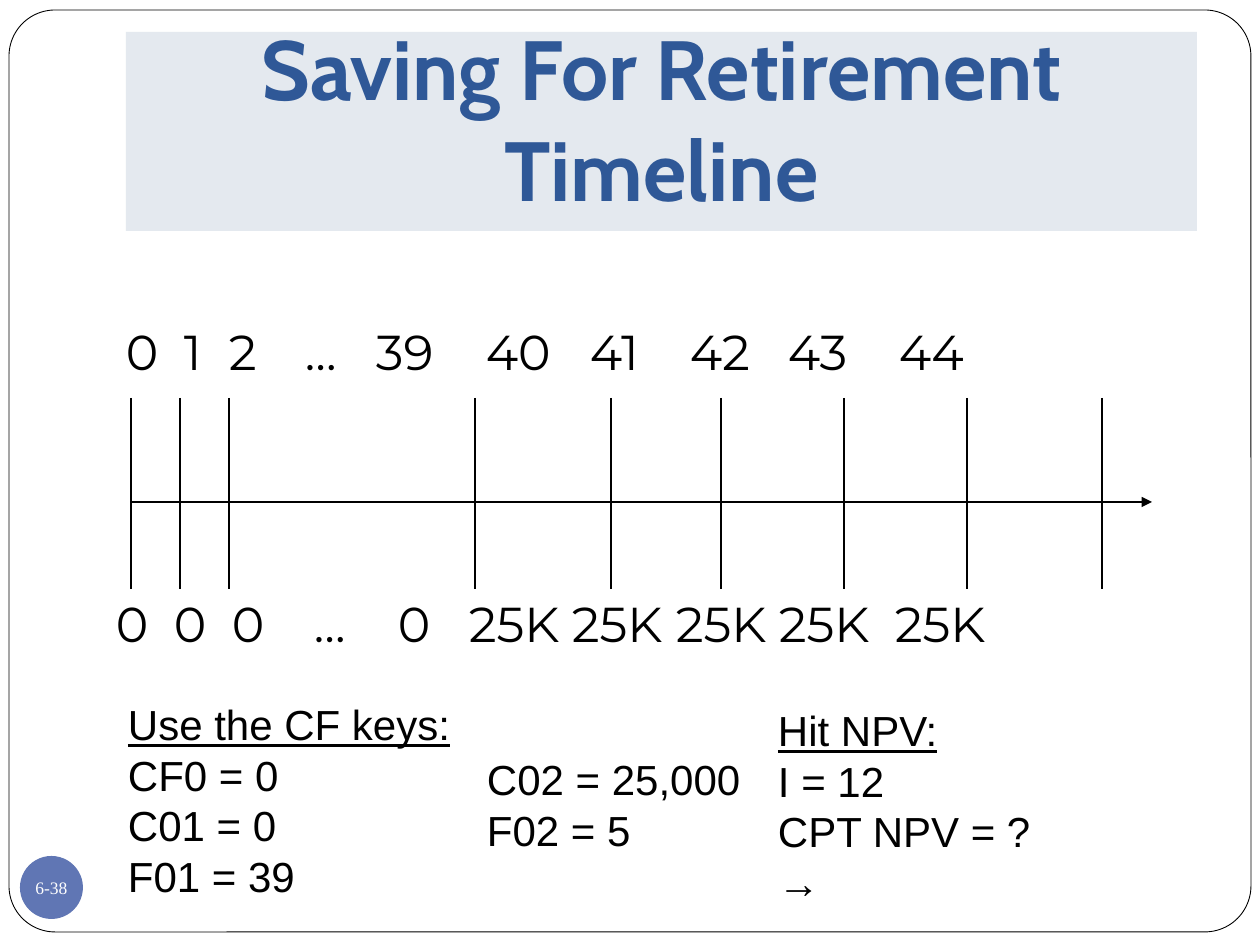
import dataclasses

import lxml.etree
import pptx
import pptx.dml.color
import pptx.enum.shapes
import pptx.enum.text
import pptx.oxml.ns
import pptx.util

SHAPE = pptx.enum.shapes.MSO_SHAPE
ALIGN = pptx.enum.text.PP_ALIGN
ANCHOR = pptx.enum.text.MSO_ANCHOR
qn = pptx.oxml.ns.qn


@dataclasses.dataclass(frozen=True)
class Theme:
    white: str = "FFFFFF"
    ink: str = "000000"
    band: str = "E4E9EF"
    heading: str = "2F5897"
    badge: str = "6076B4"
    heading_font: str = "Cabin"
    label_font: str = "Montserrat"
    body_font: str = "Arial"
    badge_font: str = "Times New Roman"
    heading_size: int = 48
    label_size: int = 28
    body_size: int = 24
    badge_size: int = 10
    frame_line: float = 0.5
    axis_line: int = 1


def px(length):
    return pptx.util.Emu(round(length * 914400 / 126))


def rgb(colour):
    return pptx.dml.color.RGBColor.from_string(colour)


class TimelineSlide:
    """Draws styled elements on one slide, measured in px."""

    def __init__(self, slide, theme):
        self.slide = slide
        self.theme = theme

    def panel(self, kind, box, fill, outline=None):
        panel = self.slide.shapes.add_shape(kind, *map(px, box))
        panel.shadow.inherit = False
        panel.fill.solid()
        panel.fill.fore_color.rgb = rgb(fill)
        if outline:
            panel.line.color.rgb = rgb(outline)
            panel.line.width = pptx.util.Pt(self.theme.frame_line)
        else:
            panel.line.fill.background()
        return panel

    def frame(self, host, insets, anchor=ANCHOR.TOP, wrap=True):
        frame = host.text_frame
        frame.word_wrap = wrap
        frame.vertical_anchor = anchor
        (frame.margin_left, frame.margin_top,
         frame.margin_right, frame.margin_bottom) = map(px, insets)
        return frame

    def run(self, paragraph, text, font, size, colour, bold=False, underline=False):
        run = paragraph.add_run()
        run.text = text
        run.font.name = font
        run.font.size = pptx.util.Pt(size)
        run.font.color.rgb = rgb(colour)
        run.font.bold = bold
        run.font.underline = underline

    def caption(self, host, text, insets, anchor, font, size, colour, bold=False, wrap=True):
        paragraph = self.frame(host, insets, anchor, wrap).paragraphs[0]
        paragraph.alignment = ALIGN.CENTER
        self.run(paragraph, text, font, size, colour, bold)

    def line(self, start, end, arrow=False):
        line = self.slide.shapes.add_connector(
            pptx.enum.shapes.MSO_CONNECTOR.STRAIGHT, *map(px, start + end))
        line.line.color.rgb = rgb(self.theme.ink)
        line.line.width = pptx.util.Pt(self.theme.axis_line)
        if arrow:
            lxml.etree.SubElement(line.line._get_or_add_ln(), qn("a:tailEnd"), type="triangle")
        lxml.etree.SubElement(line._element.spPr, qn("a:effectLst"))

    def label_row(self, box, labels, starts):
        row = self.slide.shapes.add_textbox(*map(px, box))
        origin = starts[0]
        paragraph = self.frame(row, (origin - box[0], 6, 12, 6)).paragraphs[0]
        stops = lxml.etree.SubElement(paragraph._p.get_or_add_pPr(), qn("a:tabLst"))
        for start in starts[1:]:
            lxml.etree.SubElement(stops, qn("a:tab"), pos=str(px(start - origin)), algn="l")
        self.run(paragraph, "\t".join(labels), self.theme.label_font,
                 self.theme.label_size, self.theme.ink)

    def steps(self, box, lines, heading=None, top_inset=6):
        steps = self.slide.shapes.add_textbox(*map(px, box))
        frame = self.frame(steps, (12, top_inset, 12, 6))
        texts = [heading, *lines] if heading else lines
        for index, text in enumerate(texts):
            paragraph = frame.add_paragraph() if index else frame.paragraphs[0]
            self.run(paragraph, text, self.theme.body_font, self.theme.body_size,
                     self.theme.ink, underline=text == heading)


def main():
    deck = pptx.Presentation()
    deck.slide_width, deck.slide_height = px(1260), px(945)
    theme = Theme()
    page = TimelineSlide(deck.slides.add_slide(deck.slide_layouts[6]), theme)

    border = page.panel(SHAPE.ROUNDED_RECTANGLE, (9, 10, 1242, 922), theme.white, theme.ink)
    border.adjustments[0] = 0.05
    badge = page.panel(SHAPE.OVAL, (20, 856, 63, 63), theme.badge)
    page.caption(badge, "6-38", (0, 0, 0, 0), ANCHOR.MIDDLE, theme.badge_font,
                 theme.badge_size, theme.white, wrap=False)
    title = page.panel(SHAPE.RECTANGLE, (126, 32, 1071, 199), theme.band)
    page.caption(title, "Saving For Retirement Timeline", (13, 6, 13, 13), ANCHOR.BOTTOM,
                 theme.heading_font, theme.heading_size, theme.heading, bold=True)

    page.line((131, 502), (1152, 502), arrow=True)
    for year_x in (131, 180, 229, 475, 611, 721, 844, 967, 1102):
        page.line((year_x, 398), (year_x, 589))

    page.label_row((116, 315, 1057, 72),
                   ["0", "1", "2", "…", "39", "40", "41", "42", "43", "44"],
                   [126, 184, 229, 305, 376, 486, 590, 690, 788, 899])
    page.label_row((94, 588, 1081, 72),
                   ["0"] * 3 + ["…", "0"] + ["25K"] * 5,
                   [116, 174, 232, 314, 398, 469, 572, 676, 779, 895])

    page.steps((116, 693, 431, 217), ["CF0 = 0", "C01 = 0", "F01 = 39"], "Use the CF keys:")
    page.steps((475, 712, 281, 190), ["C02 = 25,000", "F02 = 5"], top_inset=42)
    page.steps((766, 699, 431, 217), ["I = 12", "CPT NPV = ?", "→"], "Hit NPV:")

    deck.save("out.pptx")


if __name__ == "__main__":
    main()
